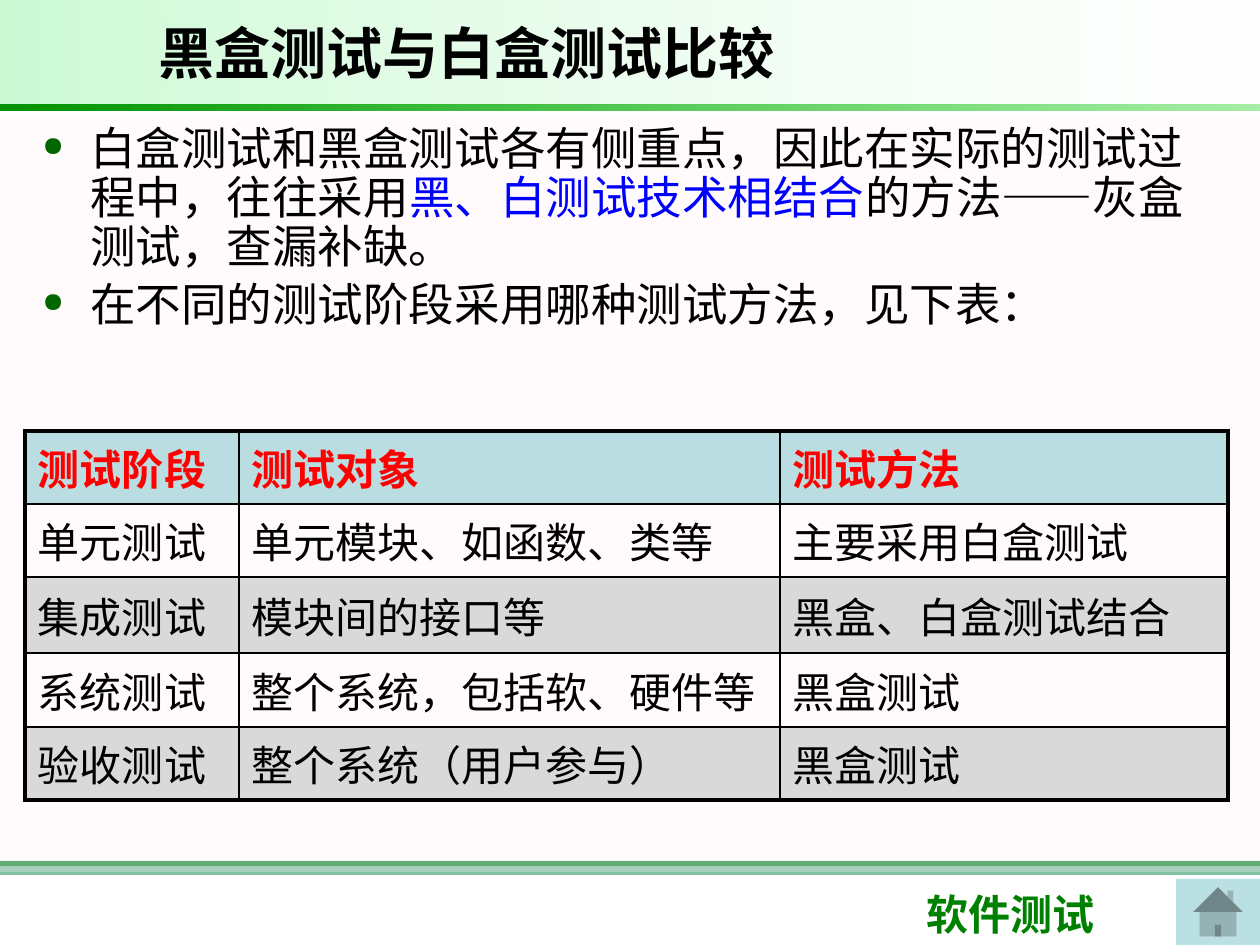
import pptx
import pptx.dml.color
import pptx.enum.shapes
import pptx.enum.text
import pptx.oxml.ns
import pptx.util
from lxml import etree

RGB = pptx.dml.color.RGBColor
SHAPE = pptx.enum.shapes.MSO_SHAPE
ANCHOR = pptx.enum.text.MSO_ANCHOR
ALIGN = pptx.enum.text.PP_ALIGN
Pt = pptx.util.Pt
qn = pptx.oxml.ns.qn

BLACK, WHITE = RGB(0, 0, 0), RGB(255, 255, 255)
RED, BLUE, GREEN = RGB(255, 0, 0), RGB(0, 0, 255), RGB(0, 128, 0)
SEA_GREEN, BLUSH = RGB(0x33, 0x99, 0x66), RGB(0xFF, 0xF0, 0xF5)
MINT, LIME, LEAF = RGB(0x09, 0xE7, 0x33), RGB(0, 0xCC, 0), RGB(0, 0x92, 0)
HEADER_FILL, BAND_FILL = RGB(0xBA, 0xDD, 0xE1), RGB(0xD9, 0xD9, 0xD9)
BUTTON_FILL, BULLET = RGB(0xBB, 0xE0, 0xE3), RGB(0, 0x66, 0)

CJK = "Noto Sans CJK SC"
TITLE = {"size": Pt(32), "bold": True, "name": CJK}
BODY = {"size": Pt(26), "bold": False, "name": CJK}
CELL = {"size": Pt(24), "bold": False, "name": CJK}
HEAD = {"size": Pt(24), "bold": True, "name": "Calibri"}
FOOT = {"size": Pt(24), "bold": True, "name": "Arial"}

BULLETS = [
    [("白盒测试和黑盒测试各有侧重点，因此在实际的测试过程中，往往采用", BLACK),
     ("黑、白测试技术相结合", BLUE),
     ("的方法——灰盒测试，查漏补缺。", BLACK)],
    [("在不同的测试阶段采用哪种测试方法，见下表：", BLACK)],
]
ROWS = [
    ("测试阶段", "测试对象", "测试方法"),
    ("单元测试", "单元模块、如函数、类等", "主要采用白盒测试"),
    ("集成测试", "模块间的接口等", "黑盒、白盒测试结合"),
    ("系统测试", "整个系统，包括软、硬件等", "黑盒测试"),
    ("验收测试", "整个系统（用户参与）", "黑盒测试"),
]
COL_WIDTHS = [214, 541, 448]
ROW_HEIGHTS = [73, 73, 76, 74, 73]


def px(n):
    return round(n * 914400 / 126)


def set_alpha(parent, percents):
    """Give each colour under parent its opacity, in document order."""
    for clr, percent in zip(parent.iter(qn("a:srgbClr")), percents):
        etree.SubElement(clr, qn("a:alpha"), val=str(percent * 1000))


def add_block(s, box, color, opacity=100, kind=SHAPE.RECTANGLE):
    sp = s.shapes.add_shape(kind, *map(px, box))
    sp.shadow.inherit = False
    sp.line.fill.background()
    sp.fill.solid()
    sp.fill.fore_color.rgb = color
    if opacity < 100:
        set_alpha(sp.fill._xPr, [opacity])
    return sp


def add_gradient(s, box, stops):
    """Add a band that shades from left to right through (colour, opacity)."""
    sp = add_block(s, box, WHITE)
    sp.fill.gradient()
    sp.fill.gradient_angle = 0
    for stop, (color, _) in zip(sp.fill.gradient_stops, stops):
        stop.color.rgb = color
    set_alpha(sp.fill._xPr, [opacity for _, opacity in stops])


def add_run(p, text, fmt, color):
    r = p.add_run()
    r.text = text
    for name, value in fmt.items():
        setattr(r.font, name, value)
    r.font.color.rgb = color
    etree.SubElement(r.font._element, qn("a:ea"), typeface=fmt["name"])


def add_text_frame(s, box, **frame):
    tf = s.shapes.add_textbox(*map(px, box)).text_frame
    tf.word_wrap = True
    for name, value in frame.items():
        setattr(tf, name, value)
    return tf


def add_backdrop(s, x, y, w, h):
    add_block(s, (x, y + 861, w, 5), GREEN)
    add_block(s, (x, y + 861, w, 14), SEA_GREEN, 60)
    add_block(s, (x, y + 116, w, h - 189), BLUSH, 30)
    add_gradient(s, (x, y, w, 105), [(MINT, 21), (WHITE, 10)])
    add_gradient(s, (x, y + 105, w, 6), [(LEAF, 100), (LIME, 35)])


def add_title(s, x, y, w, h):
    tf = add_text_frame(s, (x, y, w, h), vertical_anchor=ANCHOR.MIDDLE)
    p = tf.paragraphs[0]
    p.alignment = ALIGN.CENTER
    add_run(p, "黑盒测试与白盒测试比较", TITLE, BLACK)


def set_bullet(p):
    pPr = p._p.get_or_add_pPr()
    pPr.set("marL", str(px(48)))
    pPr.set("indent", str(-px(48)))
    clr = etree.SubElement(pPr, qn("a:buClr"))
    etree.SubElement(clr, qn("a:srgbClr"), val=str(BULLET))
    etree.SubElement(pPr, qn("a:buSzPct"), val="60000")
    etree.SubElement(pPr, qn("a:buChar"), char="●")


def add_body(s, x, y, w, h):
    tf = add_text_frame(s, (x, y, w, h), margin_top=px(5))
    for i, runs in enumerate(BULLETS):
        p = tf.add_paragraph() if i else tf.paragraphs[0]
        set_bullet(p)
        p.line_spacing = 0.9
        if i:
            p.space_before = Pt(5)
        for text, color in runs:
            add_run(p, text, BODY, color)


def set_borders(cell, edges):
    """Draw black borders; edges says which of L, R, T, B are outer ones."""
    tcPr = cell._tc.get_or_add_tcPr()
    for i, (side, outer) in enumerate(edges.items()):
        ln = etree.Element(qn("a:ln" + side), w=str(Pt(2.25 if outer else 1)))
        fill = etree.SubElement(ln, qn("a:solidFill"))
        etree.SubElement(fill, qn("a:srgbClr"), val=str(BLACK))
        tcPr.insert(i, ln)


def fill_cell(cell, color):
    if color is None:
        cell.fill.background()
    else:
        cell.fill.solid()
        cell.fill.fore_color.rgb = color


def add_stage_table(s, x, y):
    box = (x, y, sum(COL_WIDTHS), sum(ROW_HEIGHTS))
    n_rows, n_cols = len(ROWS), len(COL_WIDTHS)
    table = s.shapes.add_table(n_rows, n_cols, *map(px, box)).table
    table.horz_banding = False
    for col, width in zip(table.columns, COL_WIDTHS):
        col.width = px(width)
    for i, texts in enumerate(ROWS):
        table.rows[i].height = px(ROW_HEIGHTS[i])
        for j, text in enumerate(texts):
            cell = table.cell(i, j)
            cell.vertical_anchor = ANCHOR.MIDDLE
            cell.margin_left = cell.margin_right = px(13)
            cell.margin_top = px(6 if i else 13)
            cell.margin_bottom = px(6)
            fmt, color = (CELL, BLACK) if i else (HEAD, RED)
            add_run(cell.text_frame.paragraphs[0], text, fmt, color)
            band = BAND_FILL if i % 2 == 0 else None
            fill_cell(cell, band if i else HEADER_FILL)
            set_borders(cell, {"L": j == 0, "R": j == n_cols - 1,
                               "T": i == 0, "B": i == n_rows - 1})


def add_footer(s, x, y):
    tf = add_text_frame(s, (x, y + 3, 299, 63))
    add_run(tf.paragraphs[0], "软件测试", FOOT, GREEN)
    add_block(s, (x + 262, y, 84, 66), BUTTON_FILL,
              kind=SHAPE.ACTION_BUTTON_HOME)


def main():
    prs = pptx.Presentation()
    prs.slide_width, prs.slide_height = px(1260), px(945)
    s = prs.slides.add_slide(prs.slide_layouts[6])
    add_backdrop(s, 0, 0, 1260, 945)
    add_body(s, 30, 121, 1196, 267)
    add_stage_table(s, 25, 431)
    add_title(s, 74, 0, 786, 105)
    add_footer(s, 914, 879)
    prs.save("out.pptx")


if __name__ == "__main__":
    main()
